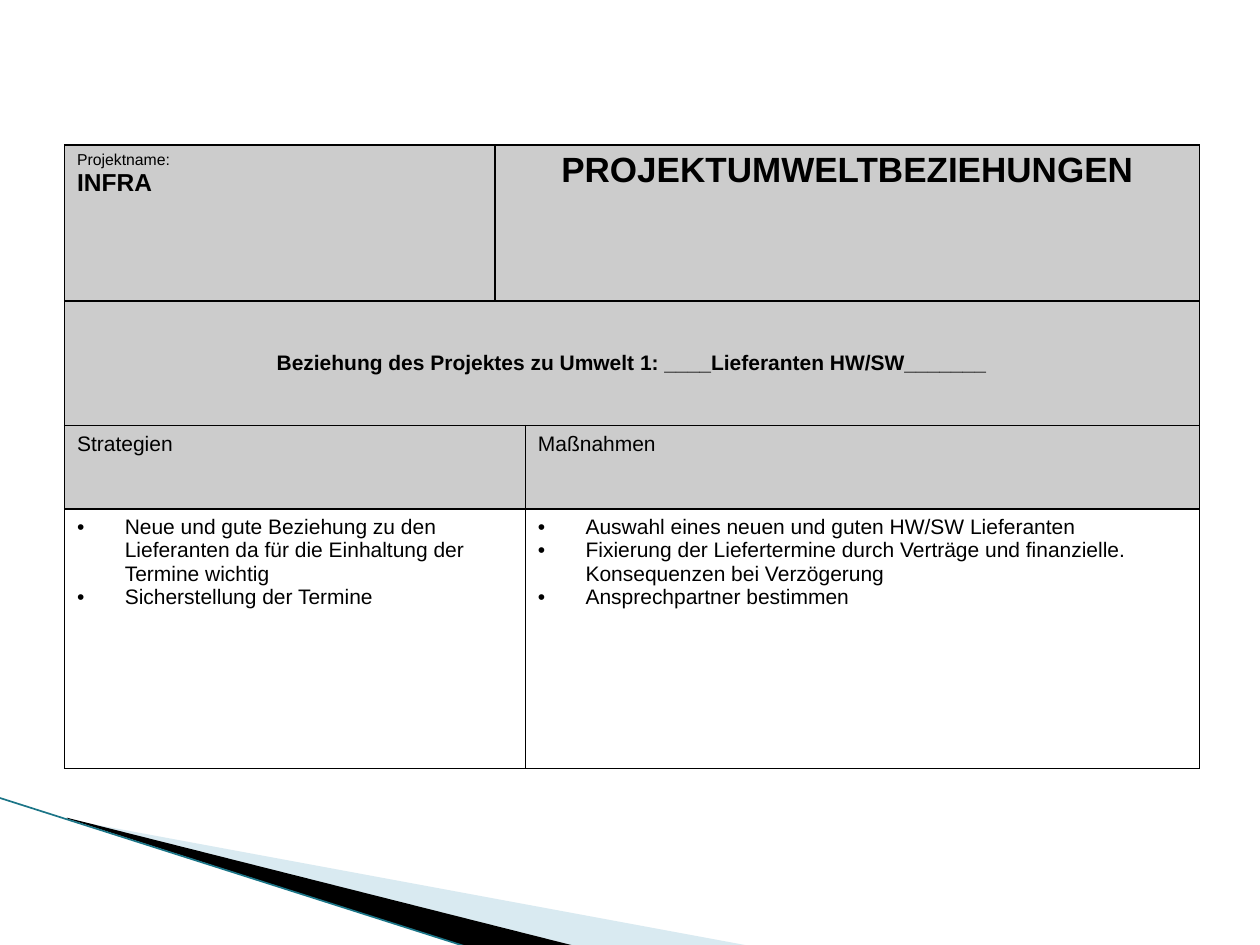
from lxml import etree
from pptx import Presentation
from pptx.dml.color import RGBColor
from pptx.enum.shapes import MSO_CONNECTOR
from pptx.enum.text import MSO_ANCHOR, PP_ALIGN
from pptx.oxml.ns import qn
from pptx.util import Pt

LEFT, CENTER = PP_ALIGN.LEFT, PP_ALIGN.CENTER
TOP, MIDDLE = MSO_ANCHOR.TOP, MSO_ANCHOR.MIDDLE
STRAIGHT = MSO_CONNECTOR.STRAIGHT
BLACK, GRAY, PALE_BLUE, TEAL = "000000", "CCCCCC", "A0CBDC", "1B7587"
FONT = "Arial"
HANGING = 27.2

WEDGES = [
    (PALE_BLUE, 40, [(39.6, 468.5), (428.4, 540.5), (328.3, 540.5), (39.6, 468)]),
    (BLACK, 100, [(38.2, 467.3), (329, 540.7), (267.8, 541.4), (38.9, 468)]),
]
EDGE = [(-0.7, 455.8), (267.8, 541.4)]

TABLE_LEFT, TABLE_TOP = 36.9, 82.8
COLUMN_WIDTHS = [246.1, 17.2, 385.2]
ROW_HEIGHTS = [89.2, 71.3, 47.5, 148.4]
CELLS = [
    {"row": 0, "first": 0, "last": 0, "fill": GRAY, "lines": [
        ("Projektname:", {"size": 9}),
        ("INFRA", {"size": 14, "bold": True})]},
    {"row": 0, "first": 1, "last": 2, "fill": GRAY, "lines": [
        ("PROJEKTUMWELTBEZIEHUNGEN", {"size": 20, "bold": True, "align": CENTER})]},
    {"row": 1, "first": 0, "last": 2, "fill": GRAY, "anchor": MIDDLE, "lines": [
        ("Beziehung des Projektes zu Umwelt 1: ____Lieferanten HW/SW_______",
         {"bold": True, "align": CENTER})]},
    {"row": 2, "first": 0, "last": 1, "fill": GRAY, "lines": [("Strategien", {})]},
    {"row": 2, "first": 2, "last": 2, "fill": GRAY, "lines": [("Maßnahmen", {})]},
    {"row": 3, "first": 0, "last": 1, "lines": [
        ("Neue und gute Beziehung zu den Lieferanten da für die Einhaltung der Termine wichtig",
         {"bullet": True}),
        ("Sicherstellung der Termine", {"bullet": True})]},
    {"row": 3, "first": 2, "last": 2, "lines": [
        ("Auswahl eines neuen und guten HW/SW Lieferanten", {"bullet": True}),
        ("Fixierung der Liefertermine durch Verträge und finanzielle. "
         "Konsequenzen bei Verzögerung", {"bullet": True}),
        ("Ansprechpartner bestimmen", {"bullet": True})]},
]


def color(value):
    return RGBColor.from_string(value)


def write_line(paragraph, text, size=12, bold=False, align=LEFT, bullet=False):
    paragraph.alignment = align
    run = paragraph.add_run()
    run.text = text
    run.font.name = FONT
    run.font.size = Pt(size)
    run.font.bold = bold
    run.font.color.rgb = color(BLACK)
    properties = paragraph._p.get_or_add_pPr()
    properties.set("marL", str(Pt(HANGING)))
    properties.set("indent", str(-Pt(HANGING)))
    if bullet:
        bullet_color = etree.SubElement(properties, qn("a:buClr"))
        etree.SubElement(bullet_color, qn("a:srgbClr"), val=BLACK)
        etree.SubElement(properties, qn("a:buFont"), typeface=FONT)
        etree.SubElement(properties, qn("a:buChar"), char="•")
    else:
        etree.SubElement(properties, qn("a:buNone"))


def style_cell(cell, fill):
    properties = cell._tc.get_or_add_tcPr()
    for side in ("lnL", "lnR", "lnT", "lnB"):
        border = etree.SubElement(properties, qn(f"a:{side}"), w=str(Pt(1)))
        solid = etree.SubElement(border, qn("a:solidFill"))
        etree.SubElement(solid, qn("a:srgbClr"), val=BLACK)
    if fill:
        cell.fill.solid()
        cell.fill.fore_color.rgb = color(fill)
    else:
        cell.fill.background()


def add_wedge(slide, fill, opacity, points):
    corners = [(Pt(x), Pt(y)) for x, y in points]
    builder = slide.shapes.build_freeform(*corners[0])
    builder.add_line_segments(corners[1:], close=True)
    shape = builder.convert_to_shape()
    shape.shadow.inherit = False
    shape.line.fill.background()
    shape.fill.solid()
    shape.fill.fore_color.rgb = color(fill)
    if opacity < 100:
        tint = shape._element.spPr.find(qn("a:solidFill"))[0]
        etree.SubElement(tint, qn("a:alpha"), val=str(opacity * 1000))


def add_edge(slide):
    ends = [Pt(value) for point in EDGE for value in point]
    connector = slide.shapes.add_connector(STRAIGHT, *ends)
    connector.line.color.rgb = color(TEAL)
    connector.line.width = Pt(0.95)
    etree.SubElement(connector._element.spPr, qn("a:effectLst"))


def add_project_table(slide):
    frame = slide.shapes.add_table(
        len(ROW_HEIGHTS), len(COLUMN_WIDTHS), Pt(TABLE_LEFT), Pt(TABLE_TOP),
        Pt(sum(COLUMN_WIDTHS)), Pt(sum(ROW_HEIGHTS)))
    table = frame.table
    table.first_row = table.horz_banding = False
    for column, width in zip(table.columns, COLUMN_WIDTHS):
        column.width = Pt(width)
    for row, height in zip(table.rows, ROW_HEIGHTS):
        row.height = Pt(height)
    for item in CELLS:
        row, first, last = item["row"], item["first"], item["last"]
        cell = table.cell(row, first)
        for index in range(first, last + 1):
            style_cell(table.cell(row, index), item.get("fill"))
        if last > first:
            cell.merge(table.cell(row, last))
        cell.vertical_anchor = item.get("anchor", TOP)
        text_frame = cell.text_frame
        for index, (text, style) in enumerate(item["lines"]):
            paragraph = text_frame.add_paragraph() if index else text_frame.paragraphs[0]
            write_line(paragraph, text, **style)


def main():
    presentation = Presentation()
    presentation.slide_width, presentation.slide_height = Pt(720), Pt(540)
    slide = presentation.slides.add_slide(presentation.slide_layouts[6])
    for wedge in WEDGES:
        add_wedge(slide, *wedge)
    add_edge(slide)
    add_project_table(slide)
    presentation.save("out.pptx")


if __name__ == "__main__":
    main()
